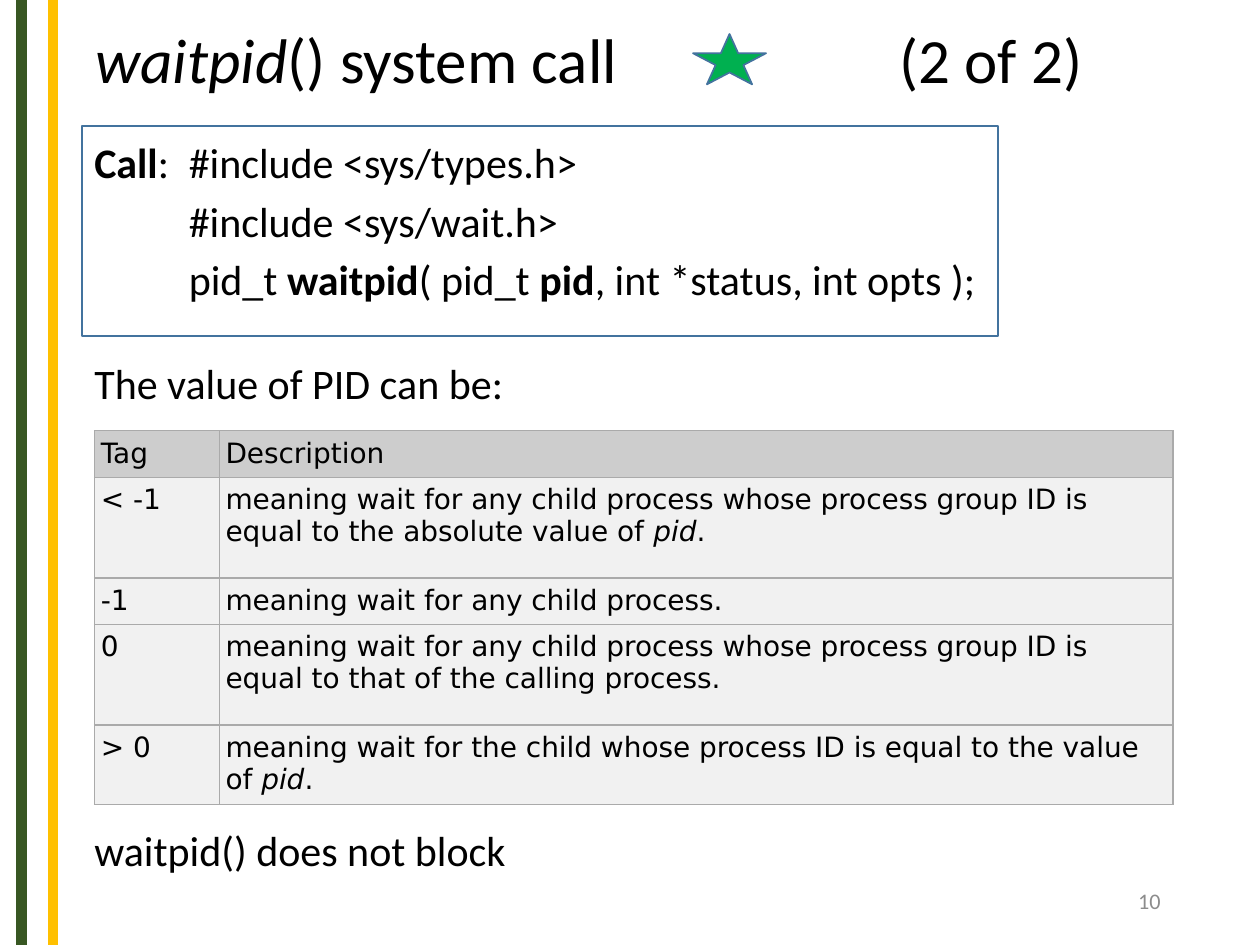
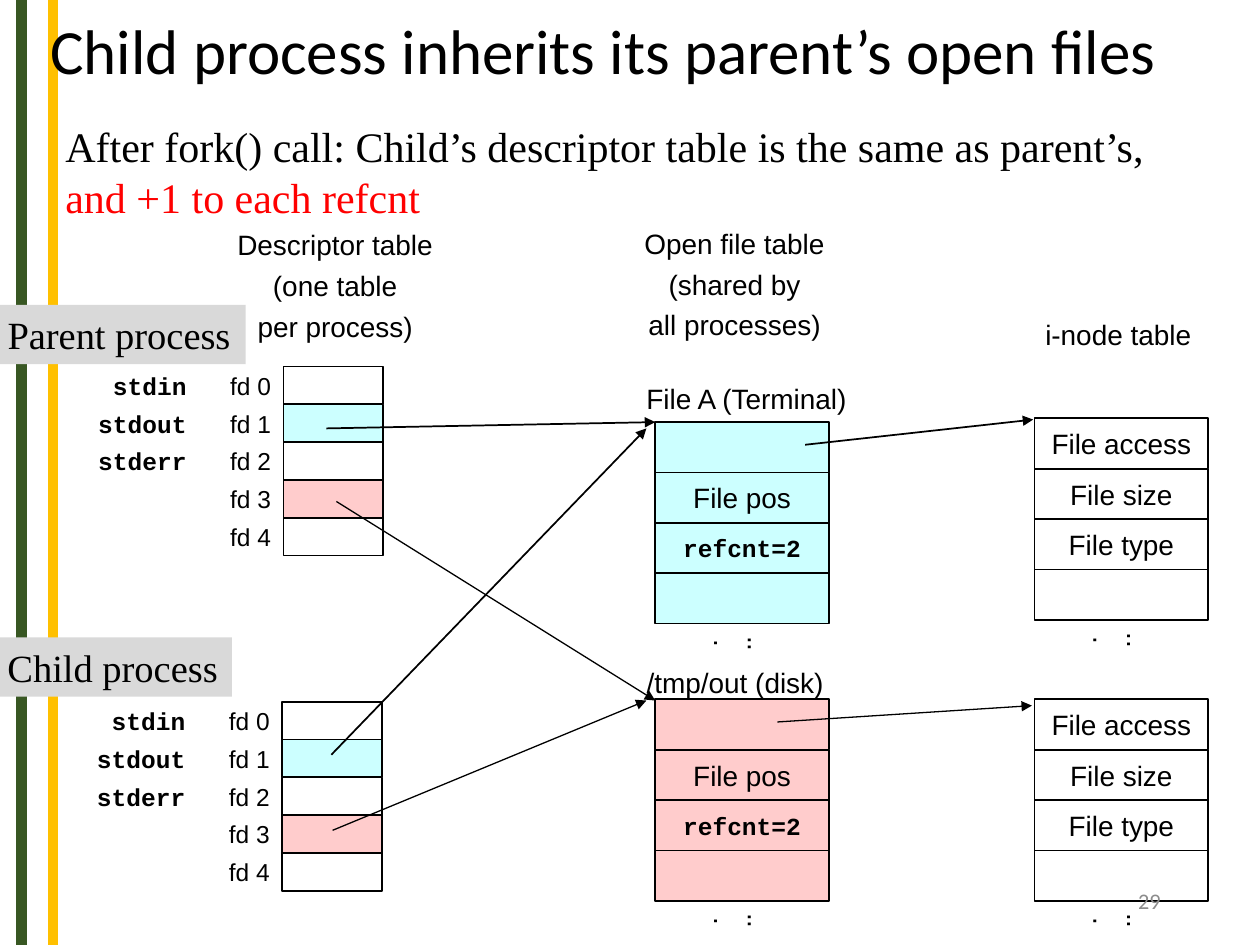
"""Build two slides on the waitpid call and on open files after a fork."""
from dataclasses import dataclass
from typing import NamedTuple, Optional, Sequence

from lxml import etree
from pptx import Presentation
from pptx.dml.color import RGBColor
from pptx.enum import shapes as kinds, text as flow
from pptx.oxml import ns
from pptx.util import Inches, Pt

COLS, ROWS, CELL = 100, 75, 0.1
LEFT, MID, RIGHT = flow.PP_ALIGN.LEFT, flow.PP_ALIGN.CENTER, flow.PP_ALIGN.RIGHT
TOP, HALF = flow.MSO_ANCHOR.TOP, flow.MSO_ANCHOR.MIDDLE


class Face(NamedTuple):
    """Font, size and colour of some text."""
    font: str
    size: float
    ink: str = "000000"
    bold: Optional[bool] = None


@dataclass(frozen=True)
class Theme:
    """Colours and type of the deck."""
    black: str = "000000"
    green: str = "385723"
    gold: str = "FFC000"
    blue: str = "43739E"
    star: str = "00B050"
    aqua: str = "CCFFFF"
    pink: str = "FFCCCC"
    tag: str = "D9D9D9"
    head: str = "CDCDCD"
    row: str = "F1F1F1"
    rule: str = "AAAAAA"
    title: Face = Face("Calibri", 36)
    body: Face = Face("Calibri", 24)
    page: Face = Face("Calibri", 12.7, "8C8C8C")
    grid: Face = Face("DejaVu Sans", 16)
    note: Face = Face("Arial", 16)
    label: Face = Face("Arial", 14)
    code: Face = Face("Courier New", 14, bold=True)
    lead: Face = Face("Times New Roman", 24)
    name: Face = Face("Times New Roman", 22)


T = Theme()


class Box(NamedTuple):
    """Place on the grid, in columns and rows."""
    col: float
    row: float
    wide: float
    high: float


class Span(NamedTuple):
    """Words with their own look."""
    words: str
    bold: Optional[bool] = None
    slant: Optional[bool] = None
    ink: Optional[str] = None


class Line(NamedTuple):
    """One paragraph, with its left indent and tab stop in columns."""
    spans: Sequence[Span]
    left: float = 0
    tab: float = 0


class Arrow(NamedTuple):
    """Arrow between two grid points."""
    col: float
    row: float
    end: float
    foot: float
    width: float = 1


@dataclass(frozen=True)
class Stack:
    """Cells of equal height, one below the other."""
    box: Box
    words: Sequence[str]
    fills: Sequence[Optional[str]]
    dots: bool = False


def span(count: float) -> int:
    """Length of a number of grid cells."""
    return Inches(round(count * CELL, 3))


def place(box: Box) -> list[int]:
    """Lengths of a box."""
    return [span(part) for part in box]


def rgb(ink: str) -> RGBColor:
    """Colour from its hex digits."""
    return RGBColor.from_string(ink)


def plain(words: str) -> Line:
    """Paragraph of one look."""
    return Line([Span(words)])


def write(frame, lines: Sequence[Line], face: Face, align=LEFT, anchor=HALF,
          pad: float = 1, gap: float = 0, lead: Optional[float] = None) -> None:
    """Fill a text frame."""
    frame.word_wrap = True
    frame.vertical_anchor = anchor
    frame.margin_left = frame.margin_right = span(pad)
    for order, line in enumerate(lines):
        para = frame.add_paragraph() if order else frame.paragraphs[0]
        props = para._p.get_or_add_pPr()
        if line.left:
            props.set("marL", str(span(line.left)))
        if line.tab:
            tabs = etree.SubElement(props, ns.qn("a:tabLst"))
            etree.SubElement(tabs, ns.qn("a:tab"), pos=str(span(line.tab)), algn="l")
        para.alignment = align
        if lead:
            para.line_spacing = lead
        if gap and order:
            para.space_before = Pt(gap)
        font = para.font
        font.name, font.size, font.bold = face.font, Pt(face.size), face.bold
        font.color.rgb = rgb(face.ink)
        for part in line.spans:
            run = para.add_run()
            run.text = part.words
            run.font.bold, run.font.italic = part.bold, part.slant
            if part.ink:
                run.font.color.rgb = rgb(part.ink)


def label(slide, box: Box, lines: Sequence[Line], face: Face, **form):
    """Add a text box."""
    shape = slide.shapes.add_textbox(*place(box))
    write(shape.text_frame, lines, face, **form)
    return shape


def block(slide, box: Box, fill: Optional[str] = None, edge: Optional[str] = None,
          kind=kinds.MSO_SHAPE.RECTANGLE):
    """Add a preset shape."""
    shape = slide.shapes.add_shape(kind, *place(box))
    shape.shadow.inherit = False
    if fill:
        shape.fill.solid()
        shape.fill.fore_color.rgb = rgb(fill)
    else:
        shape.fill.background()
    if edge:
        shape.line.color.rgb = rgb(edge)
        shape.line.width = Pt(1)
    else:
        shape.line.fill.background()
    return shape


def stroke(slide, path: Arrow, ink: str, head: bool = False) -> None:
    """Add a straight line, with an arrowhead if asked."""
    line = slide.shapes.add_connector(
        kinds.MSO_CONNECTOR.STRAIGHT, *[span(part) for part in path[:4]])
    line.line.color.rgb = rgb(ink)
    line.line.width = Pt(path.width)
    if head:
        etree.SubElement(line.line._get_or_add_ln(), ns.qn("a:tailEnd"), type="triangle")
    etree.SubElement(line._element.spPr, ns.qn("a:effectLst"))


def start(deck, box: Box, title: Line):
    """Add a slide with its bands and title."""
    slide = deck.slides.add_slide(deck.slide_layouts[6])
    for col, ink in ((1.7, T.green), (4.2, T.gold)):
        stroke(slide, Arrow(col, 0, col, ROWS, 6), ink)
    label(slide, box, [title], T.title, lead=0.9)
    return slide


def number(slide, page: int) -> None:
    """Add the page number."""
    label(slide, Box(70.6, 69.5, 22.5, 4), [plain(str(page))], T.page, align=RIGHT)


def pile(slide, stack: Stack) -> None:
    """Draw a stack of cells."""
    col, row, wide, high = stack.box
    for order, (words, fill) in enumerate(zip(stack.words, stack.fills)):
        cell = block(slide, Box(col, row + order * high, wide, high), fill, T.black)
        if words:
            face = T.code if "=" in words else T.note
            write(cell.text_frame, [plain(words)], face, align=MID, pad=0)
    if stack.dots:
        foot = Box(col, row + len(stack.words) * high, wide, 0.85 * high)
        dots = label(slide, foot, [plain("...")], T.note, align=MID, pad=0)
        dots.text_frame._txBody.bodyPr.set("vert", "eaVert")


def edge(cell) -> None:
    """Rule all four sides of a table cell."""
    props = cell._tc.get_or_add_tcPr()
    for order, side in enumerate(("lnL", "lnR", "lnT", "lnB")):
        line = etree.Element(ns.qn(f"a:{side}"), w=str(Pt(0.75)))
        fill = etree.SubElement(line, ns.qn("a:solidFill"))
        etree.SubElement(fill, ns.qn("a:srgbClr"), val=T.rule)
        props.insert(order, line)


def chart(slide, box: Box, cols: Sequence[float], rows: Sequence[float],
          cells: Sequence[Sequence[Line]]) -> None:
    """Add the table of tags."""
    table = slide.shapes.add_table(len(rows), len(cols), *place(box)).table
    table.first_row = table.horz_banding = False
    for col, wide in zip(table.columns, cols):
        col.width = span(wide)
    for order, (row, high) in enumerate(zip(table.rows, rows)):
        row.height = span(high)
        for cell, line in zip(row.cells, cells[order]):
            write(cell.text_frame, [line], T.grid)
            cell.vertical_anchor = TOP
            cell.margin_left = cell.margin_right = span(0.5)
            cell.margin_top = cell.margin_bottom = span(0.5)
            cell.fill.solid()
            cell.fill.fore_color.rgb = rgb(T.row if order else T.head)
            edge(cell)


def wait(deck) -> None:
    """Build the slide on the waitpid call."""
    slide = start(deck, Box(6.6, 0, 88.4, 10), Line(
        [Span("waitpid", slant=True), Span("() system call\t(2 of 2)")], tab=63.8))
    call = block(slide, Box(6.5, 10, 72.7, 16.7), edge=T.blue)
    write(call.text_frame, [
        Line([Span("Call", bold=True), Span(":\t#include <sys/types.h>")], tab=7.5),
        Line([Span("#include <sys/wait.h>")], left=7.5),
        Line([Span("pid_t "), Span("waitpid", bold=True), Span("( pid_t "),
              Span("pid", bold=True), Span(", int *status, int opts );")], left=7.5),
    ], T.body, anchor=TOP, gap=7.5, lead=0.9)
    call.text_frame.margin_top, call.text_frame.margin_right = span(1.3), 0
    for row, words in ((28.3, "The value of PID can be:"), (65.4, "waitpid() does not block")):
        label(slide, Box(6.5, row, 88.2, 4.7), [plain(words)], T.body, anchor=TOP, lead=0.9)
    pid = [Span("pid", slant=True), Span(".")]
    any_ = "meaning wait for any child process"
    group = any_ + " whose process group ID is equal to "
    chart(slide, Box(7.5, 34.2, 85.6, 28.5), (9.9, 75.7), (3.4, 8, 3.4, 8, 5.7), [
        [plain("Tag"), plain("Description")],
        [plain("< -1"), Line([Span(group + "the absolute value of "), *pid])],
        [plain("-1"), plain(any_ + ".")],
        [plain("0"), plain(group + "that of the calling process.")],
        [plain("> 0"), Line([Span(
            "meaning wait for the child whose process ID is equal to the value of "), *pid])],
    ])
    block(slide, Box(55, 2.7, 5.8, 4), T.star, T.blue, kinds.MSO_SHAPE.STAR_5_POINT)
    number(slide, 10)


def task(slide, col: float, row: float, tag: Box, name: str) -> None:
    """Draw the descriptor table of one process."""
    high = 3
    pile(slide, Stack(Box(col, row, 7.9, high), [""] * 5, (None, T.aqua, None, T.pink, None)))
    sides = ((col - 7.9, 7.9, T.label, [f"fd {order}" for order in range(5)]),
             (col - 18.7, 12, T.code, ["stdin", "stdout", "stderr"]))
    for left, wide, face, words in sides:
        for order, word in enumerate(words):
            label(slide, Box(left, row + order * high, wide, high), [plain(word)],
                  face, align=RIGHT)
    write(block(slide, tag, T.tag).text_frame, [plain(name)], T.name, pad=0.6)


def fork(deck) -> None:
    """Build the slide on open files after a fork."""
    slide = start(deck, Box(3, 0.1, 96.8, 8.4),
                  plain("Child process inherits its parent’s open files"))
    label(slide, Box(4.2, 9.1, 91.9, 9.1), [Line([
        Span("After fork() call: Child’s descriptor table is the same as parent’s, "),
        Span("and +1 to each refcnt", ink="FF0000")])], T.lead, anchor=TOP)
    heads = (
        (Box(17.8, 17.6, 17.6, 10.1), ("Descriptor table", "(one table", "per process)")),
        (Box(49.8, 17.5, 17, 10.1), ("Open file table", "(shared by", "all processes)")),
        (Box(81.9, 24.7, 13.7, 3.7), ("i-node table",)),
        (Box(50.2, 29.8, 18.1, 3.7), ("File A (Terminal)",)),
        (Box(50.2, 52.3, 16.3, 3.7), ("/tmp/out (disk)",)),
    )
    for box, words in heads:
        label(slide, box, [plain(word) for word in words], T.note, align=MID, pad=0, gap=4)
    file = ("", "File pos", "refcnt=2", "")
    node = ("File access", "File size", "File type", "")
    for row, top, fill in ((33.5, 33.2, T.aqua), (55.5, 55.5, T.pink)):
        pile(slide, Stack(Box(52, row, 13.8, 4), file, [fill] * 4, True))
        pile(slide, Stack(Box(82.1, top, 13.8, 4), node, [None] * 4, True))
    task(slide, 22.5, 29.1, Box(0, 24.2, 19.5, 4.7), "Parent process")
    task(slide, 22.4, 55.7, Box(0, 50.6, 18.4, 4.7), "Child process")
    for path in (Arrow(63.9, 35.3, 82, 33.3), Arrow(25.9, 34, 52, 33.5),
                 Arrow(61.7, 57.3, 81.9, 56, 0.75), Arrow(26.7, 39.8, 52, 55.6, 0.75),
                 Arrow(26.3, 59.9, 51.3, 34), Arrow(26.4, 65.9, 51.3, 55.6, 0.75)):
        stroke(slide, path, T.black, head=True)
    number(slide, 29)


def main() -> None:
    """Build and save the deck."""
    deck = Presentation()
    deck.slide_width, deck.slide_height = span(COLS), span(ROWS)
    wait(deck)
    fork(deck)
    deck.save("out.pptx")


if __name__ == "__main__":
    main()
